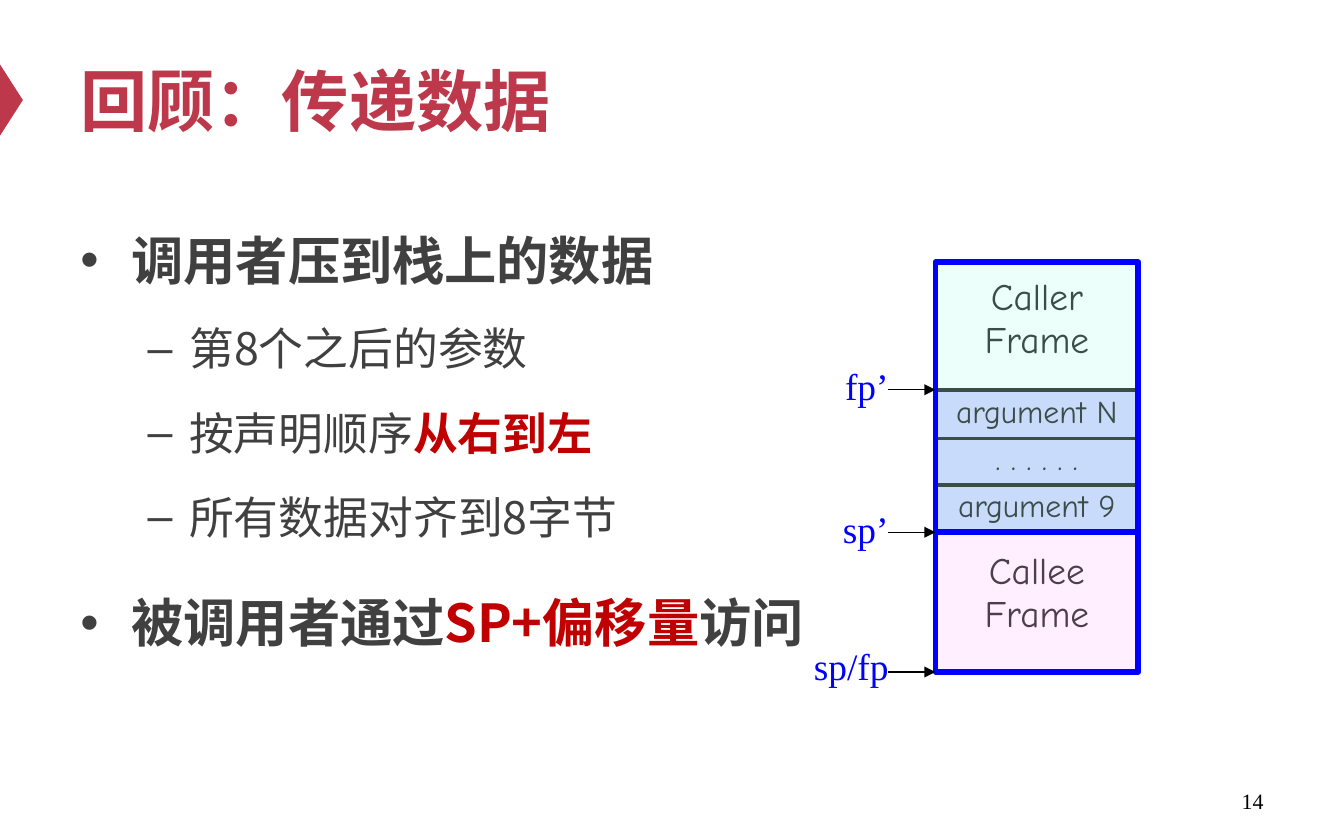
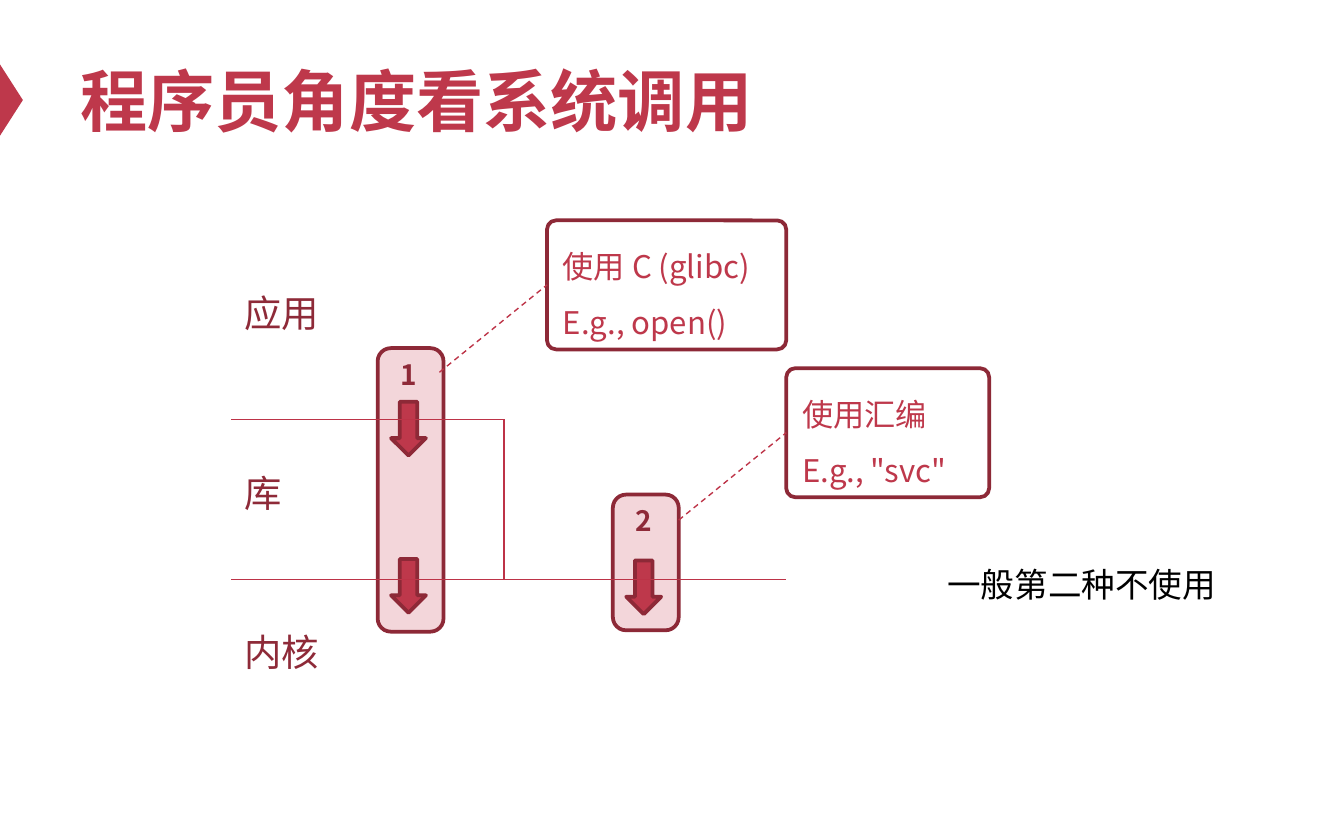
from lxml import etree
from pptx import Presentation
from pptx import util as u
from pptx.dml.color import RGBColor
from pptx.enum import dml, shapes, text
from pptx.oxml import ns

COLORS = {
    "crimson": "BE384B", "rule": "BD3347", "wine": "8D2937", "label": "8E2A38",
    "blush": "F3D6DA", "body": "404040", "accent": "C00000", "black": "000000",
    "blue": "0000FF", "lavender": "CCCCFF", "mint": "C2FFF0", "pink": "FFCCFF",
}
CJK = "Noto Sans CJK SC"
SERIF = "Times New Roman"
COMIC = "Comic Neue"
SHAPE = shapes.MSO_SHAPE
ALIGN = text.PP_ALIGN
ANCHOR = text.MSO_ANCHOR


def rgb(name):
    return RGBColor.from_string(COLORS[name])


def inches(*lengths):
    return [u.Inches(length) for length in lengths]


def add_element(parent, tag, **attributes):
    return etree.SubElement(parent, ns.qn(tag), attributes)


def add_run(paragraph, words, size, color, font=CJK, bold=False):
    run = paragraph.add_run()
    run.text = words
    run.font.size = u.Pt(size)
    run.font.bold = bold
    run.font.color.rgb = rgb(color)
    run.font.name = font
    east_asian = CJK if font == "Arial" else font
    add_element(run.font._element, "a:ea", typeface=east_asian)


def add_text(slide, box, words, size, color, font=CJK, bold=False,
             align=ALIGN.LEFT, anchor=ANCHOR.TOP, wrap=True):
    frame = slide.shapes.add_textbox(*inches(*box)).text_frame
    frame.word_wrap = wrap
    frame.vertical_anchor = anchor
    frame.paragraphs[0].alignment = align
    add_run(frame.paragraphs[0], words, size, color, font, bold)


def add_box(slide, kind, box, fill=None, line=None, width=2, opacity=None, corner=None):
    shape = slide.shapes.add_shape(kind, *inches(*box))
    shape.shadow.inherit = False
    if corner is not None:
        shape.adjustments[0] = corner
    if fill:
        shape.fill.solid()
        shape.fill.fore_color.rgb = rgb(fill)
    else:
        shape.fill.background()
    if opacity:
        color = shape._element.spPr.find(".//" + ns.qn("a:srgbClr"))
        add_element(color, "a:alpha", val=str(opacity * 1000))
    if line:
        shape.line.color.rgb = rgb(line)
        shape.line.width = u.Pt(width)
    else:
        shape.line.fill.background()
    return shape


def add_line(slide, start, end, color, dashed=False, arrow=False):
    line = slide.shapes.add_connector(
        shapes.MSO_CONNECTOR.STRAIGHT, *inches(*start, *end))
    line.line.color.rgb = rgb(color)
    line.line.width = u.Pt(0.75)
    if dashed:
        line.line.dash_style = dml.MSO_LINE.DASH
    if arrow:
        add_element(line.line._get_or_add_ln(), "a:tailEnd", type="triangle")
    add_element(line._element.spPr, "a:effectLst")


def add_slide(presentation, title, font):
    slide = presentation.slides.add_slide(presentation.slide_layouts[6])
    marker = add_box(slide, SHAPE.ISOSCELES_TRIANGLE, (-0.18, 0.66, 0.53, 0.17), "crimson")
    marker.rotation = 90
    add_text(slide, (0.5, 0.25, 9, 0.98), title, 36, "crimson", font, True,
             anchor=ANCHOR.MIDDLE)
    return slide


def add_bullets(slide, box, items):
    frame = slide.shapes.add_textbox(*inches(*box)).text_frame
    frame.word_wrap = True
    for index, (level, runs) in enumerate(items):
        paragraph = frame.paragraphs[0] if index == 0 else frame.add_paragraph()
        size, before, margin, indent, mark = (
            (28, 12, 0.38, -0.38, "•"), (24, 4.8, 0.81, -0.31, "–"))[level]
        paragraph.level = level
        paragraph.line_spacing = 1.4
        paragraph.space_before = u.Pt(before)
        properties = paragraph._p.get_or_add_pPr()
        properties.set("marL", str(u.Inches(margin)))
        properties.set("indent", str(u.Inches(indent)))
        add_element(properties, "a:buFont", typeface="Arial")
        add_element(properties, "a:buChar", char=mark)
        for words, emphasized in runs:
            add_run(paragraph, words, size, "accent" if emphasized else "body",
                    bold=emphasized or level == 0)


def add_border(cell):
    properties = cell._tc.get_or_add_tcPr()
    for index, side in enumerate("LRTB"):
        line = etree.Element(ns.qn("a:ln" + side), w=str(u.Pt(2.25)))
        fill = add_element(line, "a:solidFill")
        add_element(fill, "a:srgbClr", val=COLORS["black"])
        properties.insert(index, line)


def add_frame_table(slide, box, lines, size, top_margin, fill=None):
    table = slide.shapes.add_table(1, 1, *inches(*box)).table
    table.first_row = table.horz_banding = False
    cell = table.cell(0, 0)
    cell.margin_left = cell.margin_right = u.Inches(0.08)
    cell.margin_top, cell.margin_bottom = inches(top_margin, 0.04)
    if fill:
        cell.fill.solid()
        cell.fill.fore_color.rgb = rgb(fill)
    else:
        cell.fill.background()
    add_border(cell)
    paragraph = cell.text_frame.paragraphs[0]
    paragraph.alignment = ALIGN.CENTER
    for index, words in enumerate(lines):
        if index:
            paragraph.add_line_break()
        add_run(paragraph, words, size, "black", COMIC)


def add_stack(slide, left, top, width):
    arguments_top, callee_top, callee_height = top + 0.95, top + 2.01, 1.04
    for index, words in reversed(list(enumerate(("argument N", ". . . . . .", "argument 9")))):
        add_frame_table(slide, (left, arguments_top + 0.35 * index, width, 0.36),
                        [words], 17, 0.04, "lavender")
    add_frame_table(slide, (left, callee_top, width, callee_height),
                    ["Callee", "Frame"], 20, 0.14)
    add_frame_table(slide, (left, top, width, 1.66), ["Caller", "Frame"], 20, 0.11)
    for offset, height, color in ((0, 2.01, "mint"), (2.01, callee_height, "pink")):
        add_box(slide, SHAPE.RECTANGLE, (left, top + offset, width, height),
                color, "blue", 3, opacity=30)
    for words, pointer_top, rise in (
            ("fp’", arguments_top, 0.25), ("sp’", callee_top, 0.24),
            ("sp/fp", callee_top + callee_height, 0.26)):
        add_text(slide, (left - 1.36, pointer_top - rise, 1.11, 0.44), words, 20, "blue",
                 SERIF, align=ALIGN.RIGHT)
        add_line(slide, (left - 0.35, pointer_top), (left, pointer_top), "black", arrow=True)


def add_call_column(slide, box, number, arrow_tops):
    left, top, width, _ = box
    add_box(slide, SHAPE.ROUNDED_RECTANGLE, box, "blush", "wine", corner=0.2)
    for arrow_top in arrow_tops:
        add_box(slide, SHAPE.DOWN_ARROW, (left + 0.1, arrow_top, 0.26, 0.4), "crimson", "wine")
    add_text(slide, (left, top + 0.02, width - 0.03, 0.35), number, 15, "label",
             bold=True, align=ALIGN.CENTER)


def add_callout(slide, box, lines):
    left, top, _, height = box
    shape = add_box(slide, SHAPE.ROUNDED_RECTANGLE, box, line="wine", corner=0.07)
    frame = shape.text_frame
    frame.vertical_anchor = ANCHOR.MIDDLE
    for index, words in enumerate(lines):
        paragraph = frame.paragraphs[0] if index == 0 else frame.add_paragraph()
        paragraph.alignment = ALIGN.LEFT
        paragraph.line_spacing = 1.5
        add_run(paragraph, words, 16.7, "crimson")
    middle = top + height / 2
    add_line(slide, (left - 0.8, middle + 0.65), (left, middle), "rule", dashed=True)


def add_layers(slide, left, library_top, kernel_top):
    library_right = left + 2.03
    add_line(slide, (left, kernel_top), (left + 4.13, kernel_top), "rule")
    add_line(slide, (left, library_top), (library_right, library_top), "rule")
    add_line(slide, (library_right, library_top), (library_right, kernel_top), "rule")
    for words, top in (("应用", library_top - 1.01), ("库", library_top + 0.33),
                       ("内核", kernel_top + 0.32)):
        add_text(slide, (left, top, 1.77, 0.44), words, 20, "label")


def build_data_slide(presentation):
    slide = add_slide(presentation, "回顾：传递数据", CJK)
    add_bullets(slide, (0.5, 1.46, 9, 4.12), (
        (0, [("调用者压到栈上的数据", False)]),
        (1, [("第8个之后的参数", False)]),
        (1, [("按声明顺序", False), ("从右到左", True)]),
        (1, [("所有数据对齐到8字节", False)]),
        (0, [("被调用者通过", False), ("SP+偏移量", True), ("访问", False)]),
    ))
    add_stack(slide, 6.96, 1.95, 1.51)
    add_text(slide, (7.17, 5.79, 2.33, 0.33), "14", 11.7, "black", SERIF,
             align=ALIGN.RIGHT, anchor=ANCHOR.MIDDLE)


def build_system_call_slide(presentation):
    slide = add_slide(presentation, "程序员角度看系统调用", "Arial")
    add_call_column(slide, (2.81, 2.59, 0.49, 2.11), "1", (2.99, 4.16))
    add_call_column(slide, (4.56, 3.68, 0.49, 1.01), "2", (4.17,))
    add_layers(slide, 1.72, 3.12, 4.31)
    add_callout(slide, (4.07, 1.64, 1.78, 0.96), ("使用 C (glibc)", "E.g., open()"))
    add_callout(slide, (5.85, 2.74, 1.51, 0.96), ("使用汇编", "E.g., \"svc\""))
    add_text(slide, (6.95, 4.15, 2.22, 0.4), "一般第二种不使用", 18, "black", "Arial", wrap=False)


def main():
    presentation = Presentation()
    presentation.slide_width, presentation.slide_height = inches(10, 6.25)
    build_data_slide(presentation)
    build_system_call_slide(presentation)
    presentation.save("out.pptx")


if __name__ == "__main__":
    main()
